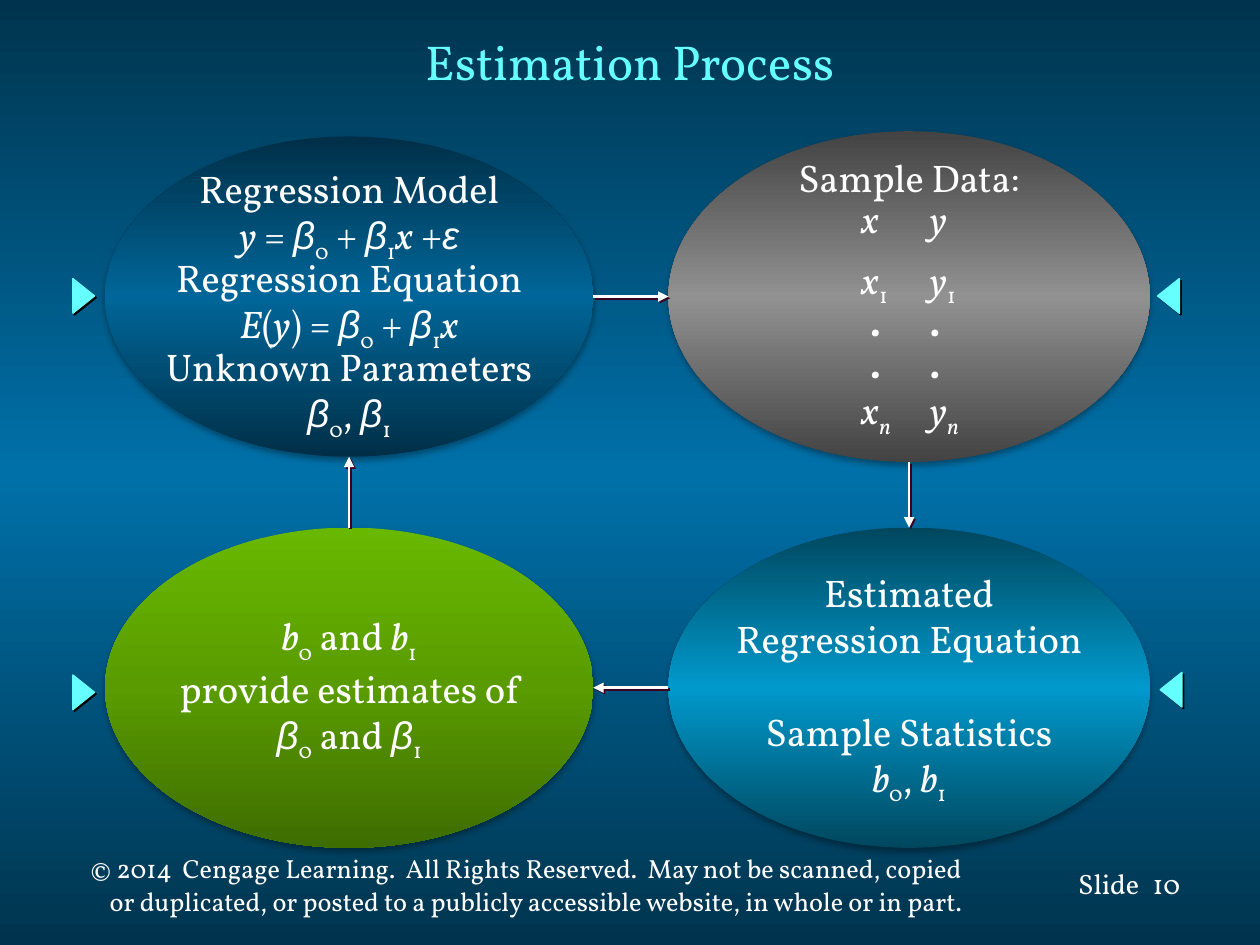
from pptx import Presentation
from pptx.dml.color import RGBColor
from pptx.enum.shapes import MSO_CONNECTOR, MSO_SHAPE
from pptx.enum.text import MSO_ANCHOR, PP_ALIGN
from pptx.oxml.ns import qn
from pptx.oxml.xmlchemy import OxmlElement
from pptx.util import Pt
from lxml.etree import SubElement

COLORS = {
    "white": "FFFFFF", "cyan": "66FFFF", "black": "000000", "plum": "3C0023",
    "backdrop": ["00344E", "0070A8", "00344E"],
    "blue": ["002F47", "006699", "002F47"],
    "gray": ["434343", "919191", "434343"],
    "green": ["69B800", "599B00", "3E6D00"],
    "teal": ["00475E", "0099CC", "00475E"],
}
WHITE = RGBColor.from_string(COLORS["white"])
CYAN = RGBColor.from_string(COLORS["cyan"])
FONT = "Vollkorn"


def paint_gradient(fill, owner, stops):
    fill.gradient()
    fill.gradient_angle = 270
    stop_list = next(owner.iter(qn("a:gsLst")))
    for old_stop in list(stop_list):
        stop_list.remove(old_stop)
    for position, color in zip((0, 50000, 100000), stops):
        stop = SubElement(stop_list, qn("a:gs"), pos=str(position))
        SubElement(stop, qn("a:srgbClr"), val=color)


def cast_shadow(shape, color, alpha, blur, distance, angle):
    effects = OxmlElement("a:effectLst")
    shape._element.spPr.append(effects)
    shadow = SubElement(effects, qn("a:outerShdw"), blurRad=str(Pt(blur)),
                        dist=str(Pt(distance)), dir=str(angle * 60000),
                        algn="ctr", rotWithShape="0")
    tint = SubElement(shadow, qn("a:srgbClr"), val=color)
    SubElement(tint, qn("a:alpha"), val=str(alpha * 1000))


deck = Presentation()
deck.slide_width, deck.slide_height = Pt(720), Pt(540)
slide = deck.slides.add_slide(deck.slide_layouts[5])
paint_gradient(slide.background.fill, slide._element, COLORS["backdrop"])

heading = slide.shapes.title
heading.left, heading.top, heading.width, heading.height = Pt(54), Pt(3), Pt(612), Pt(64)
heading.text_frame.vertical_anchor = MSO_ANCHOR.MIDDLE
heading_line = heading.text_frame.paragraphs[0]
heading_line.alignment = PP_ALIGN.CENTER
heading_run = heading_line.add_run()
heading_run.text = "Estimation Process"
heading_run.font.size, heading_run.font.name = Pt(28), FONT
heading_run.font.color.rgb = CYAN

copyright_lines = [
    ("© 2014  Cengage Learning.  All Rights Reserved.  May not be scanned, copied", 0),
    ("or duplicated, or posted to a publicly accessible website, in whole or in part.", 11),
]
footers = [
    (44.6, 485.3, 538, 43, 15, copyright_lines),
    (609, 491.5, 60, 27, 16, [("Slide", 0)]),
    (651.5, 491.5, 40, 27, 16, [("10", 0)]),
]
for left, top, width, height, size, lines in footers:
    footer = slide.shapes.add_textbox(Pt(left), Pt(top), Pt(width), Pt(height)).text_frame
    footer.word_wrap = False
    for index, (words, indent) in enumerate(lines):
        line = footer.add_paragraph() if index else footer.paragraphs[0]
        line._p.get_or_add_pPr().set("marL", str(Pt(indent)))
        if len(lines) > 1:
            line.line_spacing = Pt(16)
        if index:
            line.space_before = Pt(3)
        run = line.add_run()
        run.text = words
        run.font.size, run.font.name = Pt(size), FONT
        run.font.color.rgb = WHITE

# Run styles: i italic, b bold, s subscript, g Greek
beta0 = [("β", "gi"), ("0", "s")]
beta1 = [("β", "gi"), ("1", "s")]
b0 = [("b", "i"), ("0", "s")]
b1 = [("b", "i"), ("1", "s")]
x, y, plus, tab = ("x", "i"), ("y", "i"), (" + ", ""), ("\t", "")
dots = [tab, (".", "bi"), tab, (".", "bi")]
letter_tabs, dot_tabs = (70, 109), (76, 110)

model = [
    (0, (), [("Regression Model", "")]),
    (0, (), [y, (" = ", ""), *beta0, plus, *beta1, x, (" +", ""), ("ε", "gi")]),
    (0, (), [("Regression Equation", "")]),
    (0, (), [("E", "i"), ("(", ""), y, (") = ", ""), *beta0, plus, *beta1, x]),
    (0, (), [("Unknown Parameters", "")]),
    (0, (), [*beta0, (", ", ""), *beta1]),
]
sample = [
    (0, (), [("Sample Data:", "")]),
    (0, letter_tabs, [tab, x, tab, y]),
    (8, letter_tabs, [tab, x, ("1", "s"), tab, y, ("1", "s")]),
    (0, dot_tabs, dots),
    (0, dot_tabs, dots),
    (0, letter_tabs, [tab, x, ("n", "is"), tab, y, ("n", "is")]),
]
estimates = [
    (0, (), [*b0, (" and ", ""), *b1]),
    (0, (), [("provide estimates of", "")]),
    (0, (), [*beta0, (" and ", ""), *beta1]),
]
statistics = [
    (0, (), [("Estimated", "")]),
    (0, (), [("Regression Equation", "")]),
    (26.5, (), [("Sample Statistics", "")]),
    (0, (), [*b0, (", ", ""), *b1]),
]
stages = [
    (60, 78, 279, 183, "blue", 0.9, 11.6, model),
    (382, 75, 275, 189, "gray", 0.9, 3.6, sample),
    (60, 301.5, 279, 183, "green", 1, 3.6, estimates),
    (382, 301.5, 275, 183, "teal", 1, 3.6, statistics),
]
for left, top, width, height, color, spacing, top_inset, lines in stages:
    stage = slide.shapes.add_shape(MSO_SHAPE.OVAL, Pt(left), Pt(top), Pt(width), Pt(height))
    paint_gradient(stage.fill, stage._element, COLORS[color])
    stage.line.fill.background()
    cast_shadow(stage, COLORS["black"], 32, 3.5, 2.2, 90)
    content = stage.text_frame
    content.word_wrap = lines is sample
    content.vertical_anchor = MSO_ANCHOR.MIDDLE
    content.margin_left = content.margin_right = 0
    content.margin_top = Pt(top_inset)
    for index, (gap, tabs, runs) in enumerate(lines):
        line = content.add_paragraph() if index else content.paragraphs[0]
        line.alignment = PP_ALIGN.LEFT if tabs else PP_ALIGN.CENTER
        line.line_spacing = spacing
        if gap:
            line.space_before = Pt(gap)
        if tabs:
            tab_list = SubElement(line._p.get_or_add_pPr(), qn("a:tabLst"))
            for stop in tabs:
                SubElement(tab_list, qn("a:tab"), pos=str(Pt(stop)), algn="l")
        for words, style in runs:
            run = line.add_run()
            run.text = words
            run.font.size = Pt(22)
            run.font.name = "Arial" if "g" in style else FONT
            run.font.italic, run.font.bold = "i" in style, "b" in style
            run.font.color.rgb = WHITE
            if "s" in style:
                run._r.get_or_add_rPr().set("baseline", "-25000")

flows = [
    (339, 169.5, 382, 169.5),
    (382, 393, 339, 393),
    (519.5, 264, 519.5, 301.5),
    (199.5, 301.5, 199.5, 261),
]
for start_x, start_y, end_x, end_y in flows:
    flow = slide.shapes.add_connector(
        MSO_CONNECTOR.STRAIGHT, Pt(start_x), Pt(start_y), Pt(end_x), Pt(end_y))
    flow.line.color.rgb = WHITE
    flow.line.width = Pt(1.5)
    SubElement(flow.line._get_or_add_ln(), qn("a:tailEnd"), type="triangle")
    cast_shadow(flow, COLORS["plum"], 100, 0, 1.4, 45)

for left, top, turn in [(38, 163, 90), (658, 163, 270), (659.5, 388, 270), (38, 389.5, 90)]:
    marker = slide.shapes.add_shape(
        MSO_SHAPE.ISOSCELES_TRIANGLE, Pt(left), Pt(top), Pt(19.5), Pt(12.25))
    marker.rotation = turn
    marker.fill.solid()
    marker.fill.fore_color.rgb = CYAN
    marker.line.color.rgb = CYAN
    marker.line.width = Pt(1)
    cast_shadow(marker, COLORS["black"], 100, 0, 1.4, 45)

deck.save("out.pptx")
